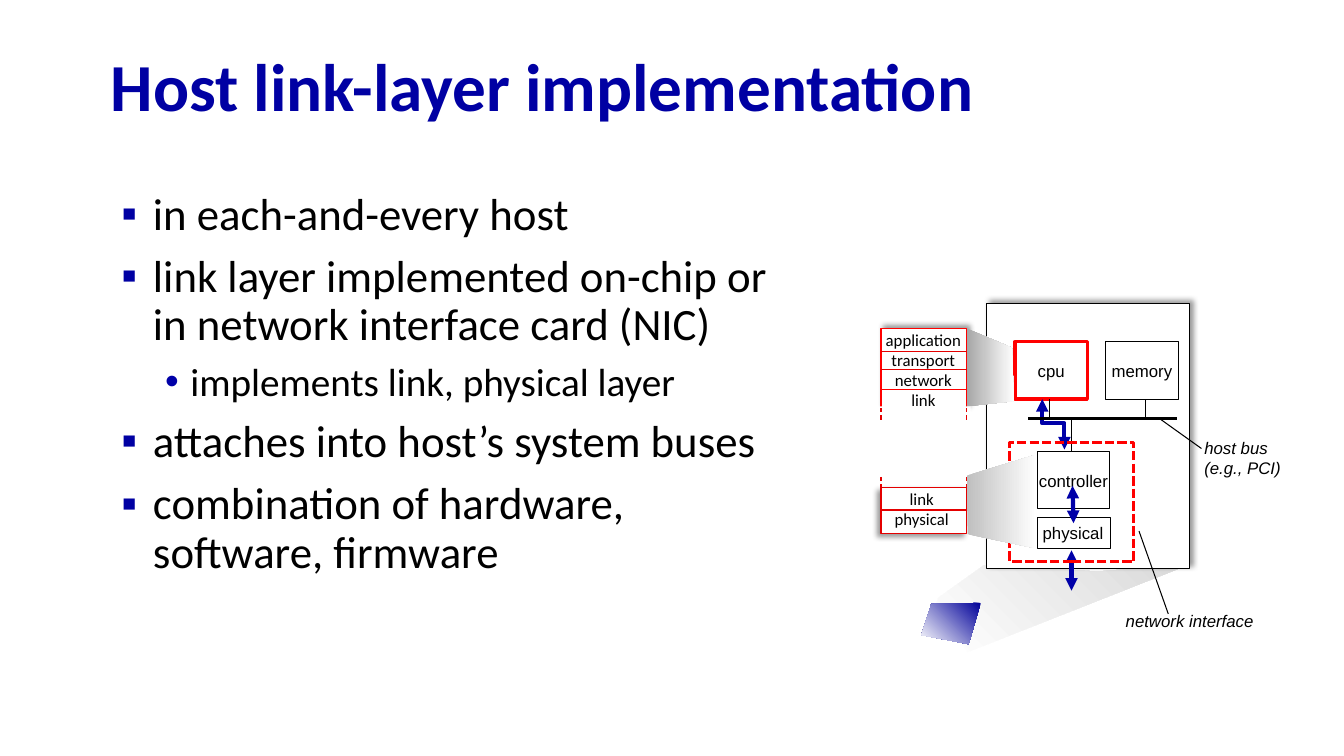
import pptx
import pptx.util
import pptx.dml.color
import pptx.enum.dml
import pptx.enum.shapes
import pptx.enum.text
import pptx.oxml
from lxml import etree

Pt = pptx.util.Pt
hue = pptx.dml.color.RGBColor.from_string
Dash = pptx.enum.dml.MSO_LINE
Side = pptx.enum.text.PP_ALIGN
Hold = pptx.enum.text.MSO_ANCHOR
RECT = pptx.enum.shapes.MSO_SHAPE.RECTANGLE
LINK = pptx.enum.shapes.MSO_CONNECTOR.STRAIGHT
NS = "http://schemas.openxmlformats.org/drawingml/2006/main"
TAG = "{" + NS + "}"
NAVY, BLUE, RED, DARK = "0000A3", "0000A8", "FF0000", "E40000"
BLACK, WHITE = "000000", "FFFFFF"

deck = pptx.Presentation()
deck.slide_width, deck.slide_height = Pt(960), Pt(540)
slide = deck.slides.add_slide(deck.slide_layouts[6])
shapes = slide.shapes


def edge(item, color, width, dash=None, arrows=False):
    item.line.color.rgb = hue(color)
    item.line.width = Pt(width)
    if dash:
        item.line.dash_style = dash
    if arrows:
        stroke = item.line._get_or_add_ln()
        for end in ("headEnd", "tailEnd"):
            etree.SubElement(stroke, TAG + end, type="triangle")


def write(item, lines, size, font, color=BLACK, align=Side.LEFT,
          anchor=Hold.TOP, wrap=False, bold=False, slant=False):
    frame = item.text_frame
    frame.word_wrap = wrap
    frame.vertical_anchor = anchor
    for place, line in enumerate(lines):
        para = frame.add_paragraph() if place else frame.paragraphs[0]
        para.alignment = align
        run = para.add_run()
        run.text = line
        run.font.size = Pt(size)
        run.font.name = font
        run.font.bold = bold
        run.font.italic = slant
        run.font.color.rgb = hue(color)


title = shapes.add_textbox(Pt(72), Pt(28.8), Pt(828), Pt(70.6))
write(title, ["Host link-layer implementation"], 48, "Calibri", NAVY,
      anchor=Hold.MIDDLE, wrap=True, bold=True)
title.text_frame.paragraphs[0].line_spacing = 0.9

points = [
    (0, "in each-and-every host"),
    (0, "link layer implemented on-chip or in network interface card (NIC)"),
    (1, "implements link, physical layer"),
    (0, "attaches into host’s system buses"),
    (0, "combination of hardware, software, firmware"),
]
looks = [("▪", NAVY, 28, -22.5, 32, 10, 0.9), ("•", BLUE, 54.7, -18, 28, 5, 1)]
body = shapes.add_textbox(Pt(74.2), Pt(133.2), Pt(486.7), Pt(367.2))
write(body, [text for level, text in points], 32, "Calibri", wrap=True)
for place, (level, text) in enumerate(points):
    mark, color, left, hang, size, gap, pitch = looks[level]
    para = body.text_frame.paragraphs[place]
    props = para._p.get_or_add_pPr()
    props.set("marL", str(Pt(left)))
    props.set("indent", str(Pt(hang)))
    tint = etree.SubElement(props, TAG + "buClr")
    etree.SubElement(tint, TAG + "srgbClr", val=color)
    etree.SubElement(props, TAG + "buFont", typeface="Arial")
    etree.SubElement(props, TAG + "buChar", char=mark)
    para.level = level
    para.line_spacing = pitch
    para.space_before = Pt(gap if place else 0)
    para.runs[0].font.size = Pt(size)

boxes = [
    (704.9, 216.7, 144.7, 189.4, BLACK, 0.75, 315, ""),
    (740.9, 369.4, 52.6, 22.3, BLACK, 0.75, None, ""),
    (740.9, 322.6, 51.8, 41, BLACK, 0.75, None, "controller"),
    (725, 244.1, 51.8, 41, RED, 2.25, None, "cpu"),
    (789.8, 244.1, 51.8, 41, BLACK, 0.75, None, "memory"),
    (629.3, 348.5, 61.2, 32.4, DARK, 0.75, 135, ""),
    (629.3, 234.7, 61.2, 57.6, RED, 1, 315, ""),
    (624.2, 290.2, 69.1, 14.4, None, 0, None, ""),
]
for x, y, wide, high, color, width, angle, text in boxes:
    box = shapes.add_shape(RECT, Pt(x), Pt(y), Pt(wide), Pt(high))
    box.shadow.inherit = False
    box.fill.solid()
    box.fill.fore_color.rgb = hue(WHITE)
    if color:
        edge(box, color, width)
    else:
        box.line.fill.background()
    if angle:
        cast = etree.SubElement(
            box._element.spPr.find(TAG + "effectLst"), TAG + "outerShdw",
            blurRad=str(Pt(4)), dist=str(Pt(3)), dir=str(angle * 60000),
            algn="ctr", rotWithShape="0")
        tint = etree.SubElement(cast, TAG + "srgbClr", val=BLACK)
        etree.SubElement(tint, TAG + "alpha", val="40000")
    if text:
        write(box, [text], 12, "Arial", align=Side.CENTER, anchor=Hold.MIDDLE)

path = [(744.5, 285.1), (744.5, 302.4), (760.3, 302.4), (760.3, 321.1)]
path = [(Pt(x), Pt(y)) for x, y in path]
draft = shapes.build_freeform(*path[0], scale=1.0)
draft.add_line_segments(path[1:], close=False)
elbow = draft.convert_to_shape()
elbow.shadow.inherit = False
elbow.fill.background()
edge(elbow, BLUE, 3, arrows=True)

lines = [
    (734.4, 298.8, 841, 298.8, BLACK, 2.25, None),
    (765.4, 322.6, 765.4, 299.5, BLACK, 0.75, None),
    (749.5, 298.8, 749.5, 285.1, BLACK, 0.75, None),
    (817.9, 298.8, 817.9, 285.1, BLACK, 0.75, None),
    (766.1, 347, 766.8, 373.7, BLUE, 3, None),
    (765.4, 393.1, 765.4, 421.9, BLUE, 3, None),
    (858.2, 320.4, 828, 298.8, BLACK, 0.75, None),
    (834.5, 438.5, 813.6, 379.4, BLACK, 0.75, None),
]
for y, color in [(251.3, DARK), (264.2, DARK), (277.9, RED), (364.3, DARK)]:
    lines.append((629.3, y, 690.5, y, color, 0.75, None))
for x in (629.3, 690.5):
    for top, end in [(291.6, 300.2), (340.6, 348.5)]:
        lines.append((x, top, x, end, DARK, 0.75, Dash.DASH))
for x, y, right, low, color, width, dash in lines:
    line = shapes.add_connector(LINK, Pt(x), Pt(y), Pt(right), Pt(low))
    etree.SubElement(line._element.spPr, TAG + "effectLst")
    edge(line, color, width, dash, color == BLUE)

card = shapes.add_shape(RECT, Pt(721.4), Pt(316.1), Pt(88.6), Pt(85))
card.shadow.inherit = False
card.fill.background()
edge(card, RED, 2.25, Dash.SQUARE_DOT)

cone = [(668.2, 432.7), (670.3, 427), (702.7, 403.9), (784.1, 408.2),
        (849.6, 403.2), (691.2, 465.8)]
fans = [
    (cone, WHITE, "D9D9D9", 45),
    ([(740.2, 324.7), (690.5, 339.8), (691.2, 381.6), (740.2, 391.7)],
     "BFBFBF", WHITE, 0),
    ([(722.9, 248.4), (690.5, 234.7), (690.5, 290.2), (724.3, 286.6)],
     "A6A6A6", WHITE, 0),
    ([(700.6, 430.6), (665.3, 431.3), (658.1, 453.6), (691.9, 460.1)],
     "000099", WHITE, 225),
]
for spots, start, stop, angle in fans:
    spots = [(Pt(x), Pt(y)) for x, y in spots]
    draft = shapes.build_freeform(*spots[0], scale=1.0)
    draft.add_line_segments(spots[1:])
    fan = draft.convert_to_shape()
    fan.shadow.inherit = False
    fan.line.fill.background()
    fan.fill.gradient()
    fan.fill.gradient_angle = angle
    for step, color in zip(fan.fill.gradient_stops, (start, stop)):
        step.color.rgb = hue(color)
    if stop == "D9D9D9":
        shapes._spTree.insert(2, fan._element)

labels = [
    (737.3, 370.1, 58.3, 36, ["physical"], "Arial", Side.CENTER, False),
    (853.2, 308.9, 82.1, 36, ["host bus", "(e.g., PCI)"], "Arial",
     Side.LEFT, True),
    (797, 432.7, 106.6, 21.6, ["network interface"], "Arial", Side.LEFT, True),
    (625, 231.8, 69.1, 65.5, ["application", "transport", "network", "link"],
     "Calibri", Side.CENTER, False),
    (631.4, 345.6, 54, 36.7, ["link", "physical"], "Calibri",
     Side.CENTER, False),
]
for x, y, wide, high, texts, font, align, slant in labels:
    label = shapes.add_textbox(Pt(x), Pt(y), Pt(wide), Pt(high))
    write(label, texts, 12, font, align=align, slant=slant)

deck.save("out.pptx")
